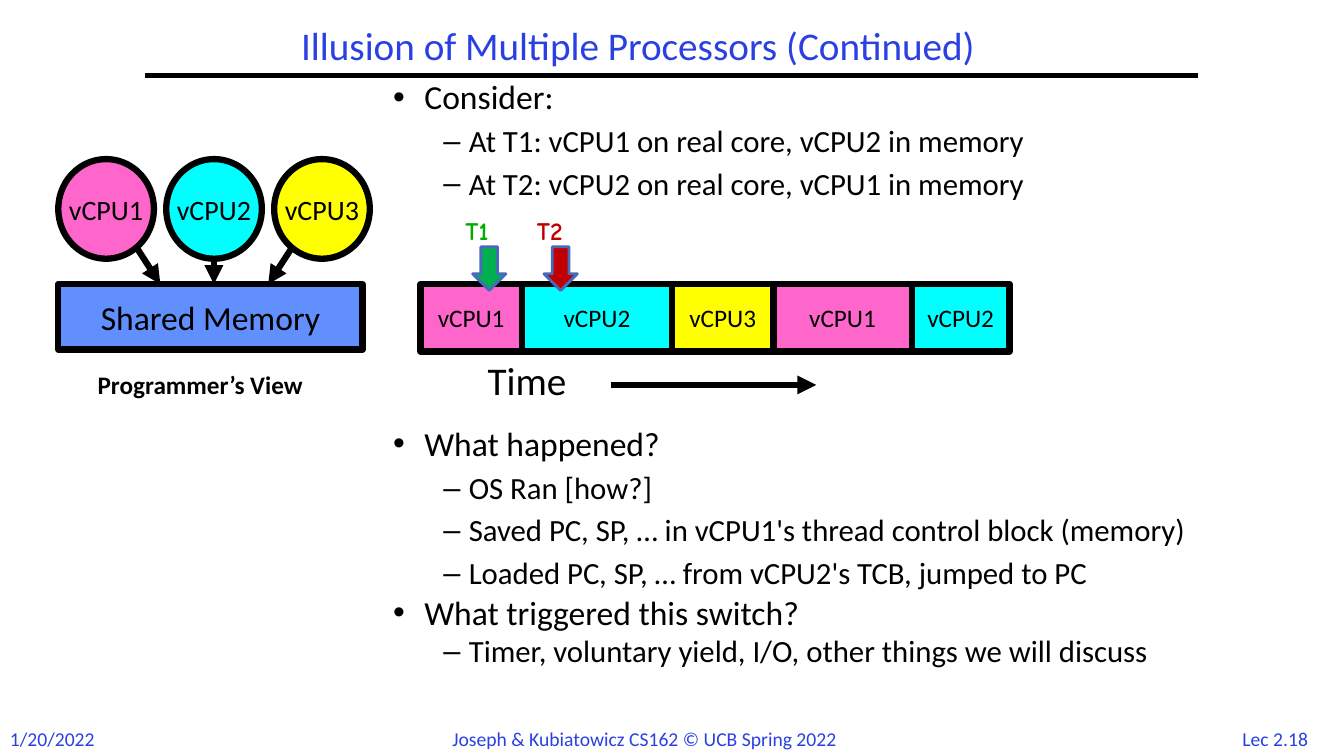
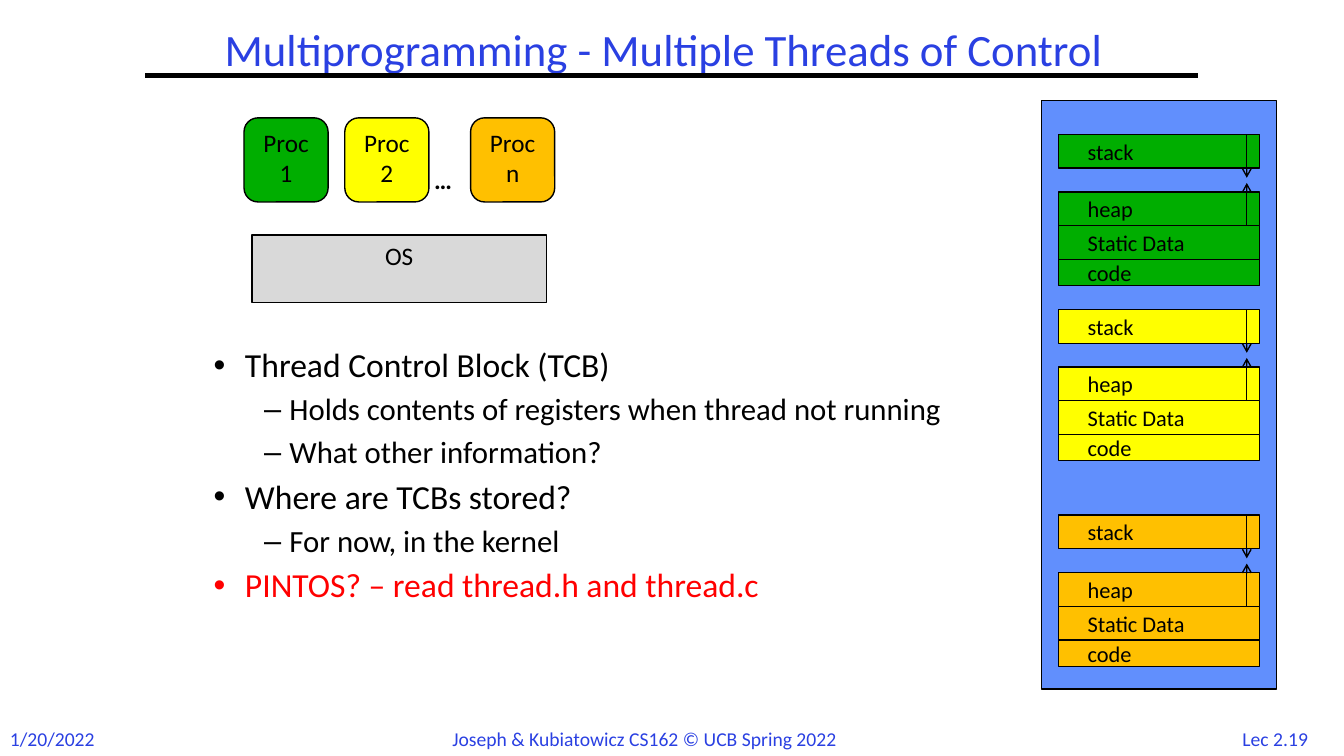
"""Build two lecture slides on virtual processors and threads of control."""
from lxml import etree
from pptx import Presentation
from pptx.dml.color import RGBColor
from pptx.enum import shapes as es, text as et
from pptx.oxml import ns
from pptx.util import Cm, Pt

BLACK = RGBColor(0x00, 0x00, 0x00)
BLUE = RGBColor(0x2A, 0x40, 0xE2)
STEEL = RGBColor(0x48, 0x6A, 0xBB)
SKY = RGBColor(0x61, 0x8F, 0xFD)
PINK = RGBColor(0xFF, 0x66, 0xCC)
CYAN = RGBColor(0x00, 0xFF, 0xFF)
YELLOW = RGBColor(0xFF, 0xFF, 0x00)
GREEN = RGBColor(0x00, 0xAE, 0x00)
LEAF = RGBColor(0x00, 0xB0, 0x50)
CRIMSON = RGBColor(0xC0, 0x00, 0x00)
RED = RGBColor(0xFF, 0x00, 0x00)
ORANGE = RGBColor(0xFF, 0xC0, 0x00)
GRAY = RGBColor(0xD9, 0xD9, 0xD9)

KIND = es.MSO_SHAPE
LEFT, MID = et.PP_ALIGN.LEFT, et.PP_ALIGN.CENTER
TOP, CENTER = et.MSO_ANCHOR.TOP, et.MSO_ANCHOR.MIDDLE


def box(page, at, words="", size=18, kind=None, fill=None, edge=BLACK, width=1,
        align=MID, anchor=CENTER, wrap=True, ink=BLACK, bold=False, face="Calibri"):
    area = [Cm(n) for n in at]
    if kind is None:
        item = page.shapes.add_textbox(*area)
    else:
        item = page.shapes.add_shape(kind, *area)
        item.shadow.inherit = False
        item.fill.solid()
        item.fill.fore_color.rgb = fill
        item.line.color.rgb = edge
        item.line.width = Pt(width)
    frame = item.text_frame
    frame.word_wrap = wrap
    frame.vertical_anchor = anchor
    if words:
        para = frame.paragraphs[0]
        para.alignment = align
        run = para.add_run()
        run.text = words
        run.font.size = Pt(size)
        run.font.name = face
        run.font.bold = bold
        run.font.color.rgb = ink
    return item


def link(page, start, end, width, head=None):
    line = page.shapes.add_connector(
        es.MSO_CONNECTOR.STRAIGHT, *[Cm(n) for n in start + end])
    line.line.color.rgb = BLACK
    line.line.width = Pt(width)
    if head:
        etree.SubElement(line.line._get_or_add_ln(), ns.qn("a:tailEnd"), type=head)
    etree.SubElement(line._element.spPr, ns.qn("a:effectLst"))


deck = Presentation()
deck.slide_width, deck.slide_height = Cm(33.87), Cm(19.05)

views = [
    ("Illusion of Multiple Processors (Continued)", 28, (5.13, 0.1, 21.89, 2.21),
     (9.65, 1.9, 23.83, 16.51), "Lec 2.18", [
         (0, "Consider:", 0, 0.9, BLACK),
         (1, "At T1: vCPU1 on real core, vCPU2 in memory", 6.6, 0.9, BLACK),
         (1, "At T2: vCPU2 on real core, vCPU1 in memory", 6.6, 0.9, BLACK),
         (0, "What happened?", 161, 0.9, BLACK),
         (1, "OS Ran [how?]", 6.6, 0.9, BLACK),
         (1, "Saved PC, SP, … in vCPU1's thread control block (memory)", 6.6, 0.9, BLACK),
         (1, "Loaded PC, SP, … from vCPU2's TCB, jumped to PC", 6.6, 0.9, BLACK),
         (0, "What triggered this switch?", 6, 0.8, BLACK),
         (1, "Timer, voluntary yield, I/O, other things we will discuss", 5.5, 0.8, BLACK),
     ]),
    ("Multiprogramming - Multiple Threads of Control", 32, (4.45, 0.28, 24.56, 2.06),
     (5.13, 8.66, 20.78, 6.2), "Lec 2.19", [
         (0, "Thread Control Block (TCB)", 0, 0.9, BLACK),
         (1, "Holds contents of registers when thread not running", 6.6, 0.9, BLACK),
         (1, "What other information?", 6.6, 0.9, BLACK),
         (0, "Where are TCBs stored?", 7.2, 0.9, BLACK),
         (1, "For now, in the kernel", 6.6, 0.9, BLACK),
         (0, "PINTOS? – read thread.h and thread.c", 7.2, 0.9, RED),
     ]),
]

pages = []
for name, size, head, area, mark, rows in views:
    page = deck.slides.add_slide(deck.slide_layouts[1])
    pages.append(page)
    title, body = page.shapes.title, page.placeholders[1]
    for item, at in ((title, head), (body, area)):
        item.left, item.top, item.width, item.height = [Cm(n) for n in at]
        item.text_frame.auto_size = et.MSO_AUTO_SIZE.NONE
        item.text_frame.word_wrap = True
    title.text_frame.vertical_anchor = CENTER
    para = title.text_frame.paragraphs[0]
    para.alignment = MID
    para.line_spacing = 0.9
    run = para.add_run()
    run.text = name
    run.font.size = Pt(size)
    run.font.name = "Calibri"
    run.font.color.rgb = BLUE

    for i, (level, words, gap, lead, ink) in enumerate(rows):
        frame = body.text_frame
        para = frame.add_paragraph() if i else frame.paragraphs[0]
        para.level = level
        para.line_spacing = lead
        para.space_before = Pt(gap)
        props = para._p.get_or_add_pPr()
        props.set("marL", str(Cm((0.79, 1.91)[level])))
        props.set("indent", str(-Cm((0.79, 0.64)[level])))
        run = para.add_run()
        run.text = words
        run.font.size = Pt((24, 22)[level])
        run.font.name = "Calibri"
        run.font.color.rgb = ink

    link(page, (3.66, 1.9), (30.2, 1.9), 3)
    for left, width, words, align in (
            (0, 2.8, "1/20/2022", LEFT),
            (11.15, 11.56, "Joseph & Kubiatowicz CS162 © UCB Spring 2022", LEFT),
            (30.91, 2.46, mark, MID)):
        box(page, (left, 18.19, width, 0.86), words, 14, align=align,
            anchor=TOP, ink=BLUE)

first, second = pages

left = 10.6
for words, fill, width in (
        ("vCPU1", PINK, 2.55), ("vCPU2", CYAN, 3.79), ("vCPU3", YELLOW, 2.55),
        ("vCPU1", PINK, 3.49), ("vCPU2", CYAN, 2.46)):
    box(first, (left, 7.16, width, 1.7), words, 18, KIND.RECTANGLE, fill,
        width=4.5, wrap=False)
    left += width
box(first, (12.04, 8.86, 3.38, 1.45), "Time", 28, align=LEFT, anchor=TOP)
link(first, (15.39, 9.7), (20.57, 9.7), 4.5, "triangle")

for i, (words, fill, ink) in enumerate((("T1", LEAF, GREEN), ("T2", CRIMSON, CRIMSON))):
    left = 11.91 + 1.8 * i
    box(first, (left, 6.22, 0.84, 1.1), kind=KIND.DOWN_ARROW, fill=fill,
        edge=STEEL, width=2)
    box(first, (left - 0.43, 5.29, 1.8, 1.02), words, 18, align=LEFT, anchor=TOP,
        ink=ink, bold=True, face="Comic Neue")

for i, fill in enumerate((PINK, CYAN, YELLOW)):
    box(first, (1.47 + 2.72 * i, 4.01, 2.41, 2.51), f"vCPU{i + 1}", 20, KIND.OVAL,
        fill, width=4.5, wrap=False)
box(first, (1.47, 7.16, 7.67, 1.65), "Shared Memory", 24, KIND.RECTANGLE, SKY,
    width=4.5, wrap=False)
for start, end in (((3.43, 6.22), (4.04, 7.16)), ((7.37, 6.22), (6.76, 7.16)),
                   ((5.39, 6.52), (5.39, 7.16))):
    link(first, start, end, 4.5, "triangle")
box(first, (2.21, 9.17, 6.48, 1.02), "Programmer’s View", 18, align=LEFT,
    anchor=TOP, bold=True)

box(second, (6.35, 5.92, 7.42, 1.7), "OS", 18, KIND.RECTANGLE, GRAY, anchor=TOP)
for words, left, fill in (("Proc 1", 6.15, GREEN), ("Proc 2", 8.69, YELLOW),
                          ("Proc n", 11.86, ORANGE)):
    box(second, (left, 2.97, 2.12, 2.12), words, 18, KIND.ROUNDED_RECTANGLE, fill,
        anchor=TOP)
box(second, (10.69, 4.01, 1.14, 1.02), "…", 18, align=LEFT, anchor=TOP, bold=True)

box(second, (26.25, 2.54, 5.92, 14.82), kind=KIND.RECTANGLE, fill=SKY)
for top, fill in ((3.39, GREEN), (7.8, YELLOW), (12.98, ORANGE)):
    for words, drop, height in (("code", 3.15, 0.66), ("Static Data", 2.3, 0.85),
                                ("heap", 1.45, 0.85), ("stack", 0, 0.85)):
        part = box(second, (26.67, top + drop, 5.08, height), words, 16,
                   KIND.RECTANGLE, fill, align=LEFT)
        part.text_frame.margin_left = Cm(0.74)
        part.text_frame.margin_top = part.text_frame.margin_bottom = 0
    link(second, (31.42, top), (31.42, top + 1.09), 1, "arrow")
    link(second, (31.42, top + 2.3), (31.42, top + 1.22), 1, "arrow")

deck.save("out.pptx")
